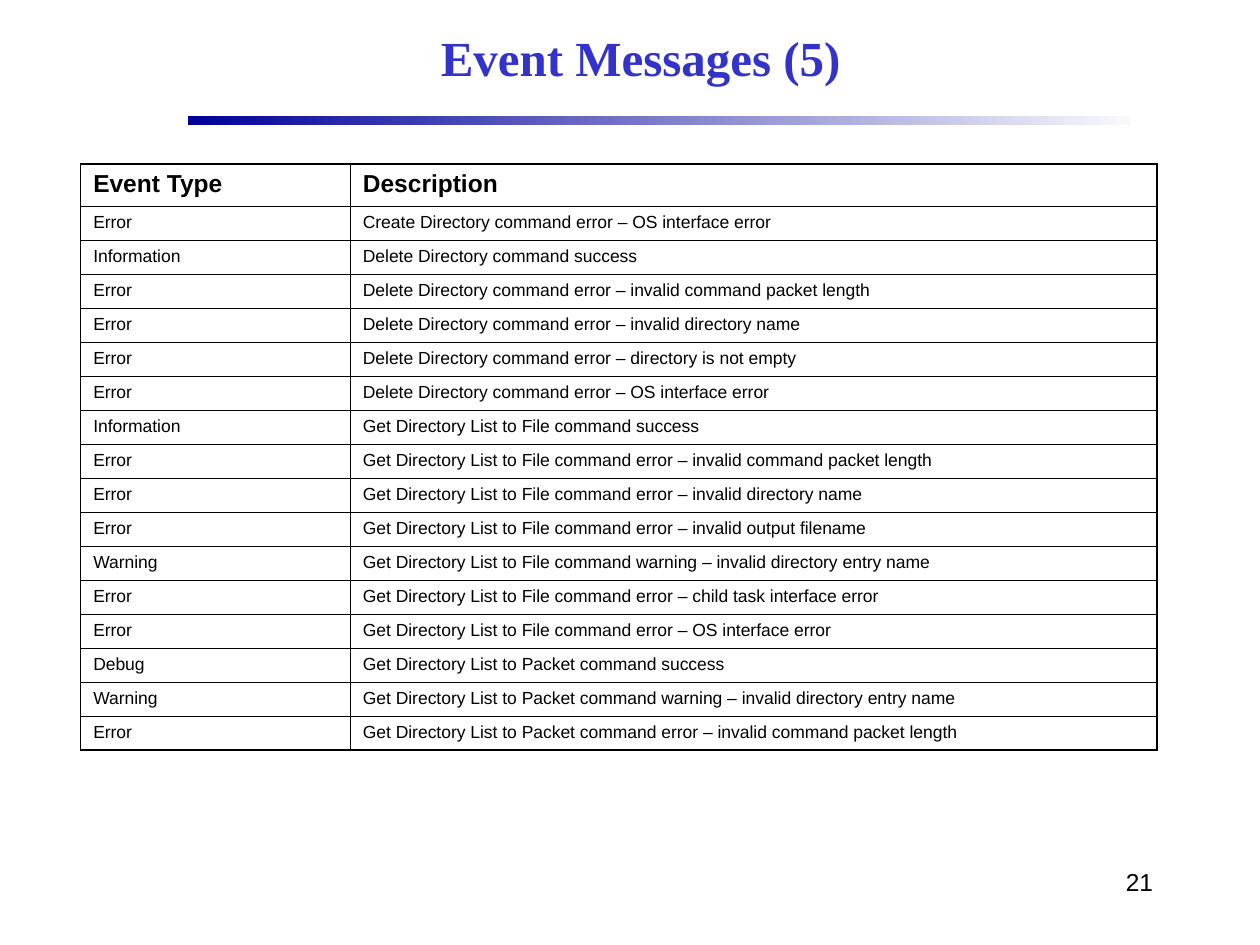
from dataclasses import dataclass
from typing import Any

from lxml import etree
from pptx import Presentation
from pptx.dml.color import RGBColor
from pptx.enum.shapes import MSO_SHAPE
from pptx.enum.text import MSO_ANCHOR, PP_ALIGN
from pptx.oxml.ns import qn
from pptx.util import Inches, Pt

RECTANGLE = MSO_SHAPE.RECTANGLE
TOP, MIDDLE = MSO_ANCHOR.TOP, MSO_ANCHOR.MIDDLE
LEFT, CENTER, RIGHT = PP_ALIGN.LEFT, PP_ALIGN.CENTER, PP_ALIGN.RIGHT

BLACK = RGBColor(0x00, 0x00, 0x00)
TITLE_BLUE = RGBColor(0x33, 0x33, 0xCC)
RULE_NAVY = RGBColor(0x00, 0x00, 0x99)
RULE_PALE = RGBColor(0xF9, 0xF9, 0xFD)

SLIDE_WIDTH, SLIDE_HEIGHT = Inches(10), Inches(7.5)
GRID_COLUMNS, GRID_ROWS = 1000, 750
COLUMN, ROW = SLIDE_WIDTH // GRID_COLUMNS, SLIDE_HEIGHT // GRID_ROWS

TYPE_COLUMNS, DESCRIPTION_COLUMNS = 214, 640
HEADER_ROWS, EVENT_ROWS = 34, 27
OUTER_BORDER, INNER_BORDER = Pt(1.08), Pt(0.45)


@dataclass(frozen=True)
class Area:
    column: int
    row: int
    columns: int
    rows: int

    def box(self) -> tuple[int, int, int, int]:
        return (self.column * COLUMN, self.row * ROW,
                self.columns * COLUMN, self.rows * ROW)


@dataclass(frozen=True)
class TextStyle:
    font: dict[str, Any]
    color: RGBColor = BLACK
    align: PP_ALIGN = LEFT
    space_before: float = 0


@dataclass(frozen=True)
class Event:
    kind: str
    description: str


TITLE = TextStyle({"name": "Times New Roman", "size": Pt(28), "bold": True}, TITLE_BLUE, CENTER)
PAGE_NUMBER = TextStyle({"name": "Arial", "size": Pt(14), "bold": False}, align=RIGHT)
HEADER = TextStyle({"name": "Arial", "size": Pt(14), "bold": True}, space_before=6.1)
BODY = TextStyle({"name": "Arial", "size": Pt(10), "bold": False}, space_before=4.4)

HEADINGS = Event("Event Type", "Description")
EVENTS = [
    Event("Error", "Create Directory command error – OS interface error"),
    Event("Information", "Delete Directory command success"),
    Event("Error", "Delete Directory command error – invalid command packet length"),
    Event("Error", "Delete Directory command error – invalid directory name"),
    Event("Error", "Delete Directory command error – directory is not empty"),
    Event("Error", "Delete Directory command error – OS interface error"),
    Event("Information", "Get Directory List to File command success"),
    Event("Error", "Get Directory List to File command error – invalid command packet length"),
    Event("Error", "Get Directory List to File command error – invalid directory name"),
    Event("Error", "Get Directory List to File command error – invalid output filename"),
    Event("Warning", "Get Directory List to File command warning – invalid directory entry name"),
    Event("Error", "Get Directory List to File command error – child task interface error"),
    Event("Error", "Get Directory List to File command error – OS interface error"),
    Event("Debug", "Get Directory List to Packet command success"),
    Event("Warning", "Get Directory List to Packet command warning – invalid directory entry name"),
    Event("Error", "Get Directory List to Packet command error – invalid command packet length"),
]


def write(frame: Any, text: str, style: TextStyle) -> None:
    paragraph = frame.paragraphs[0]
    paragraph.alignment = style.align
    paragraph.space_before = Pt(style.space_before)
    run = paragraph.add_run()
    run.text = text
    for attribute, value in style.font.items():
        setattr(run.font, attribute, value)
    run.font.color.rgb = style.color


def add_label(slide: Any, area: Area, text: str, style: TextStyle, anchor: MSO_ANCHOR) -> None:
    frame = slide.shapes.add_textbox(*area.box()).text_frame
    frame.word_wrap = True
    frame.vertical_anchor = anchor
    write(frame, text, style)


def add_title_rule(slide: Any, area: Area) -> None:
    rule = slide.shapes.add_shape(RECTANGLE, *area.box())
    rule.shadow.inherit = False
    rule.line.fill.background()
    rule.fill.gradient()
    rule.fill.gradient_angle = 0
    for stop, position, color in zip(rule.fill.gradient_stops, (0, 1), (RULE_NAVY, RULE_PALE)):
        stop.position = position
        stop.color.rgb = color


def set_borders(cell: Any, outer_edges: dict[str, bool]) -> None:
    properties = cell._tc.get_or_add_tcPr()
    for index, (edge, is_outer) in enumerate(outer_edges.items()):
        width = OUTER_BORDER if is_outer else INNER_BORDER
        line = etree.Element(qn(f"a:{edge}"), w=str(int(width)))
        fill = etree.SubElement(line, qn("a:solidFill"))
        etree.SubElement(fill, qn("a:srgbClr"), val=str(BLACK))
        properties.insert(index, line)


def add_event_table(slide: Any, column: int, row: int) -> None:
    records = [HEADINGS, *EVENTS]
    widths = (TYPE_COLUMNS, DESCRIPTION_COLUMNS)
    heights = [HEADER_ROWS] + [EVENT_ROWS] * len(EVENTS)
    area = Area(column, row, sum(widths), sum(heights))
    table = slide.shapes.add_table(len(heights), len(widths), *area.box()).table
    table.first_row = table.horz_banding = False
    for table_column, width in zip(table.columns, widths):
        table_column.width = width * COLUMN
    for row_index, (record, height) in enumerate(zip(records, heights)):
        table.rows[row_index].height = height * ROW
        style = HEADER if record is HEADINGS else BODY
        for column_index, text in enumerate((record.kind, record.description)):
            cell = table.cell(row_index, column_index)
            cell.fill.background()
            write(cell.text_frame, text, style)
            set_borders(cell, {
                "lnL": column_index == 0,
                "lnR": column_index == len(widths) - 1,
                "lnT": row_index == 0,
                "lnB": row_index == len(heights) - 1,
            })


def main() -> None:
    presentation = Presentation()
    presentation.slide_width, presentation.slide_height = SLIDE_WIDTH, SLIDE_HEIGHT
    slide = presentation.slides.add_slide(presentation.slide_layouts[6])
    add_title_rule(slide, Area(149, 92, 749, 7))
    add_label(slide, Area(717, 683, 208, 50), "21", PAGE_NUMBER, TOP)
    add_label(slide, Area(150, 8, 717, 75), "Event Messages (5)", TITLE, MIDDLE)
    add_event_table(slide, 64, 130)
    presentation.save("out.pptx")


if __name__ == "__main__":
    main()
